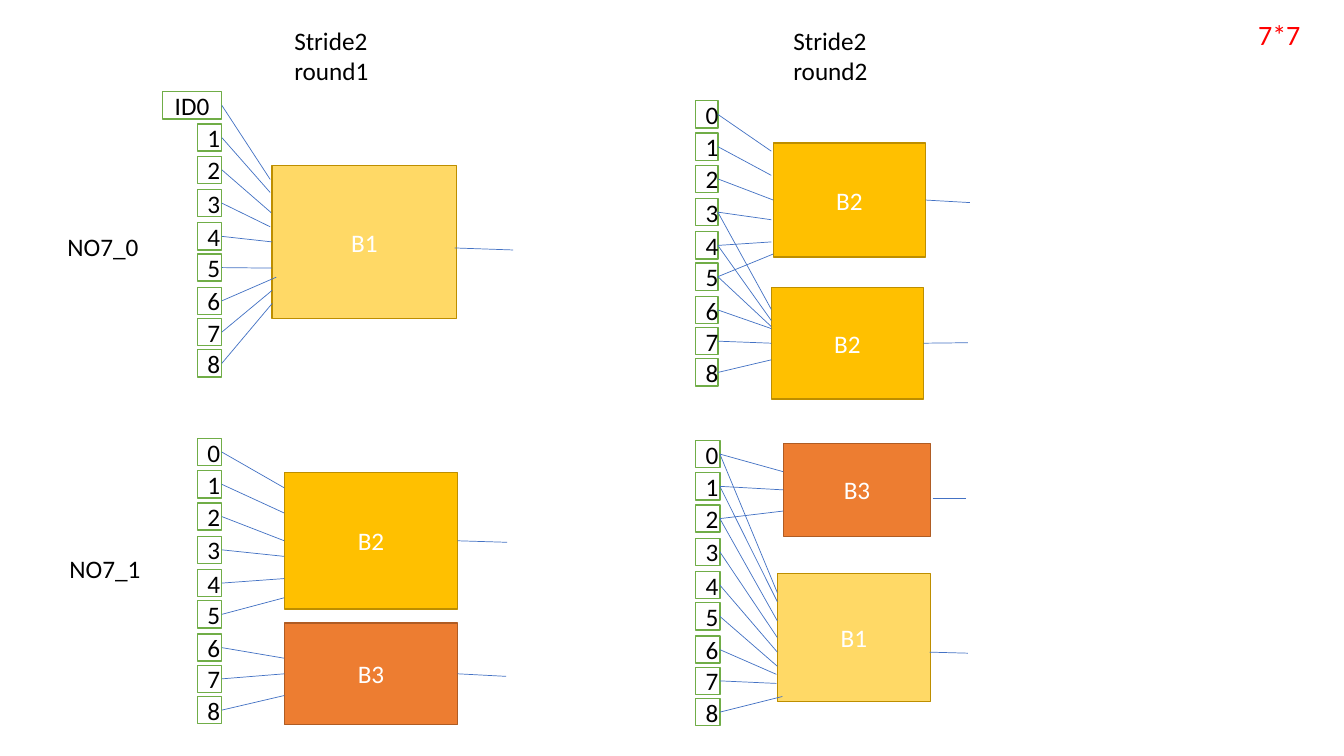
from dataclasses import dataclass

import pptx
import pptx.dml.color
import pptx.enum.shapes
import pptx.enum.text
import pptx.oxml
import pptx.util

Inches, Pt = pptx.util.Inches, pptx.util.Pt
BLACK, WHITE, GREEN, BLUE, RED = "000000", "FFFFFF", "70AD47", "4472C4", "FF0000"
STEPS = (0, 0.32, 0.64, 0.97, 1.3, 1.61, 1.94, 2.25, 2.56)  # cell tops
HIGH = 0.27
STYLES = {"B1": ("FFD966", "BD8E00"), "B2": ("FFC000", "BD8E00"),
          "B3": ("ED7D31", "AF5C24")}


@dataclass
class Wire:
    cell: int
    y: float
    shift: float = 0  # end point relative to the block's left side


@dataclass
class Block:
    name: str
    x: float
    y: float
    w: float
    h: float
    wires: list[Wire]
    out: tuple[float, float, float, float]


@dataclass
class Panel:
    x: float
    y: float
    w: float
    blocks: list[Block]
    first: str = "0"
    wide: float = 0  # extra width of the first cell, to the left


@dataclass
class Label:
    text: str
    x: float
    y: float
    w: float
    h: float
    size: int = 18
    color: str = BLACK


PANELS = [
    Panel(1.96, 0.91, 0.24, [
        Block("B1", 2.7, 1.64, 1.83, 1.52,
              [Wire(0, 1.78, -0.02), Wire(1, 1.91, -0.02), Wire(2, 2.11, -0.01),
               Wire(3, 2.25, -0.02), Wire(4, 2.4), Wire(5, 2.66),
               Wire(6, 2.75, 0.04), Wire(7, 2.88), Wire(8, 3.01)],
              (4.51, 2.46, 5.09, 2.48))], "ID0", 0.35),
    Panel(1.96, 4.35, 0.24, [
        Block("B2", 2.82, 4.69, 1.72, 1.35,
              [Wire(0, 4.84), Wire(1, 5.09), Wire(2, 5.36), Wire(3, 5.52),
               Wire(4, 5.74), Wire(5, 5.93)],
              (4.54, 5.36, 5.03, 5.38)),
        Block("B3", 2.82, 6.18, 1.72, 1.01,
              [Wire(6, 6.53), Wire(7, 6.69), Wire(8, 6.9)],
              (4.54, 6.69, 5.02, 6.71))]),
    Panel(6.9, 1, 0.22, [
        Block("B2", 7.67, 1.42, 1.51, 1.13,
              [Wire(0, 1.5, -0.02), Wire(1, 1.74, -0.02), Wire(2, 1.98),
               Wire(3, 2.18, -0.02), Wire(4, 2.4, -0.02), Wire(5, 2.52)],
              (9.18, 1.98, 9.62, 2.01)),
        Block("B2", 7.65, 2.85, 1.51, 1.11,
              [Wire(3, 3.07), Wire(4, 3.18), Wire(5, 3.24), Wire(6, 3.26),
               Wire(7, 3.4), Wire(8, 3.57)],
              (9.16, 3.4, 9.6, 3.4))]),
    Panel(6.9, 4.37, 0.24, [
        Block("B3", 7.77, 4.4, 1.46, 0.92,
              [Wire(0, 4.68), Wire(1, 4.86), Wire(2, 5.07)],
              (9.25, 4.94, 9.58, 4.94)),
        Block("B1", 7.71, 5.69, 1.52, 1.27,
              [Wire(0, 5.88), Wire(1, 5.97), Wire(2, 6.16), Wire(3, 6.33),
               Wire(4, 6.47), Wire(5, 6.61), Wire(6, 6.69, -0.01),
               Wire(7, 6.78, -0.01), Wire(8, 6.91, 0.05)],
              (9.22, 6.47, 9.6, 6.48))]),
]

LABELS = [
    Label("NO7_0", 0.57, 2.25, 0.91, 0.4),
    Label("NO7_1", 0.59, 5.44, 0.91, 0.4),
    Label("Stride2\nround1", 2.82, 0.2, 0.95, 0.71),
    Label("Stride2\nround2", 7.77, 0.2, 0.95, 0.71),
    Label("7*7", 12.38, 0.12, 0.63, 0.44, 20, RED),
]


def rgb(code: str) -> pptx.dml.color.RGBColor:
    return pptx.dml.color.RGBColor.from_string(code)


def style(frame, size: int, color: str) -> None:
    """Format every run of a text frame."""
    for para in frame.paragraphs:
        for run in para.runs:
            run.font.name = "Calibri"
            run.font.size = Pt(size)
            run.font.color.rgb = rgb(color)


def rect(shapes, text: str, x: float, y: float, w: float, h: float,
         fill: str, edge: str, ink: str):
    shape = shapes.add_shape(pptx.enum.shapes.MSO_SHAPE.RECTANGLE,
                             Inches(x), Inches(y), Inches(w), Inches(h))
    shape.shadow.inherit = False
    shape.fill.solid()
    shape.fill.fore_color.rgb = rgb(fill)
    shape.line.color.rgb = rgb(edge)
    shape.line.width = Pt(1)
    frame = shape.text_frame
    frame.text = text
    frame.vertical_anchor = pptx.enum.text.MSO_ANCHOR.MIDDLE
    frame.paragraphs[0].alignment = pptx.enum.text.PP_ALIGN.CENTER
    style(frame, 18, ink)
    return shape


def link(shapes, x1: float, y1: float, x2: float, y2: float):
    line = shapes.add_connector(pptx.enum.shapes.MSO_CONNECTOR.STRAIGHT,
                                Inches(x1), Inches(y1), Inches(x2), Inches(y2))
    line.line.color.rgb = rgb(BLUE)
    line.line.width = Pt(0.5)
    props = line._element.spPr
    props.append(props.makeelement(pptx.oxml.ns.qn("a:effectLst"), {}))
    return line


def near(x: float, y: float, side: float, mid: float) -> bool:
    return abs(x - side) < 0.01 and abs(y - mid) < 0.01


def panel(shapes, item: Panel) -> None:
    """Draw a column of cells and the blocks they feed."""
    cells = []
    for i, step in enumerate(STEPS):
        wide = 0 if i else item.wide
        cells.append(rect(shapes, str(i) if i else item.first,
                          item.x - wide, item.y + step, item.w + wide, HIGH,
                          WHITE, GREEN, BLACK))
    for block in item.blocks:
        box = rect(shapes, block.name, block.x, block.y, block.w, block.h,
                   *STYLES[block.name], WHITE)
        mid = block.y + block.h / 2
        for wire in block.wires:
            end = block.x + wire.shift
            line = link(shapes, item.x + item.w,
                        item.y + STEPS[wire.cell] + HIGH / 2, end, wire.y)
            line.begin_connect(cells[wire.cell], 3)
            if near(end, wire.y, block.x, mid):
                line.end_connect(box, 1)
        line = link(shapes, *block.out)
        if near(*block.out[:2], block.x + block.w, mid):
            line.begin_connect(box, 3)


def label(shapes, item: Label) -> None:
    box = shapes.add_textbox(Inches(item.x), Inches(item.y),
                             Inches(item.w), Inches(item.h))
    frame = box.text_frame
    frame.word_wrap = False
    frame.auto_size = pptx.enum.text.MSO_AUTO_SIZE.SHAPE_TO_FIT_TEXT
    frame.text = item.text
    style(frame, item.size, item.color)


def main() -> None:
    deck = pptx.Presentation()
    deck.slide_width, deck.slide_height = Inches(13.33), Inches(7.5)
    shapes = deck.slides.add_slide(deck.slide_layouts[6]).shapes
    for item in PANELS:
        panel(shapes.add_group_shape().shapes, item)
    for item in LABELS:
        label(shapes, item)
    deck.save("out.pptx")


if __name__ == "__main__":
    main()
